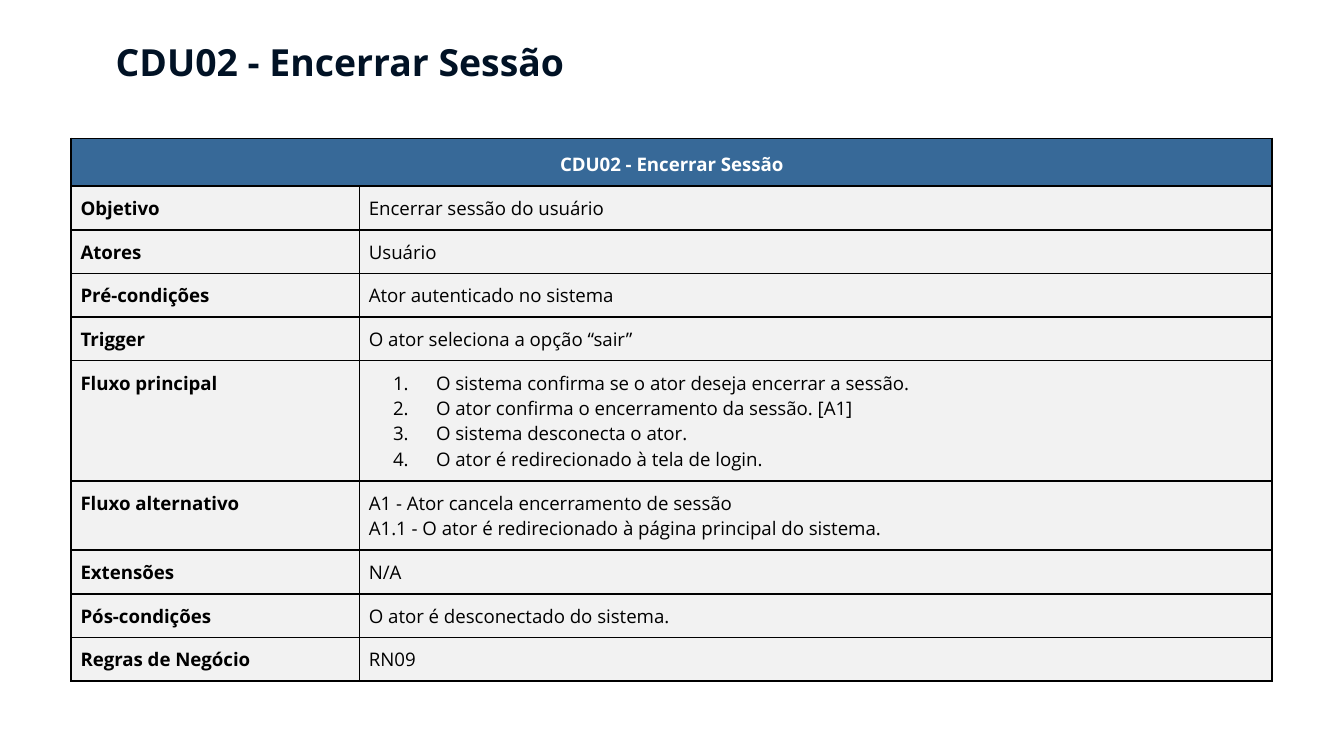
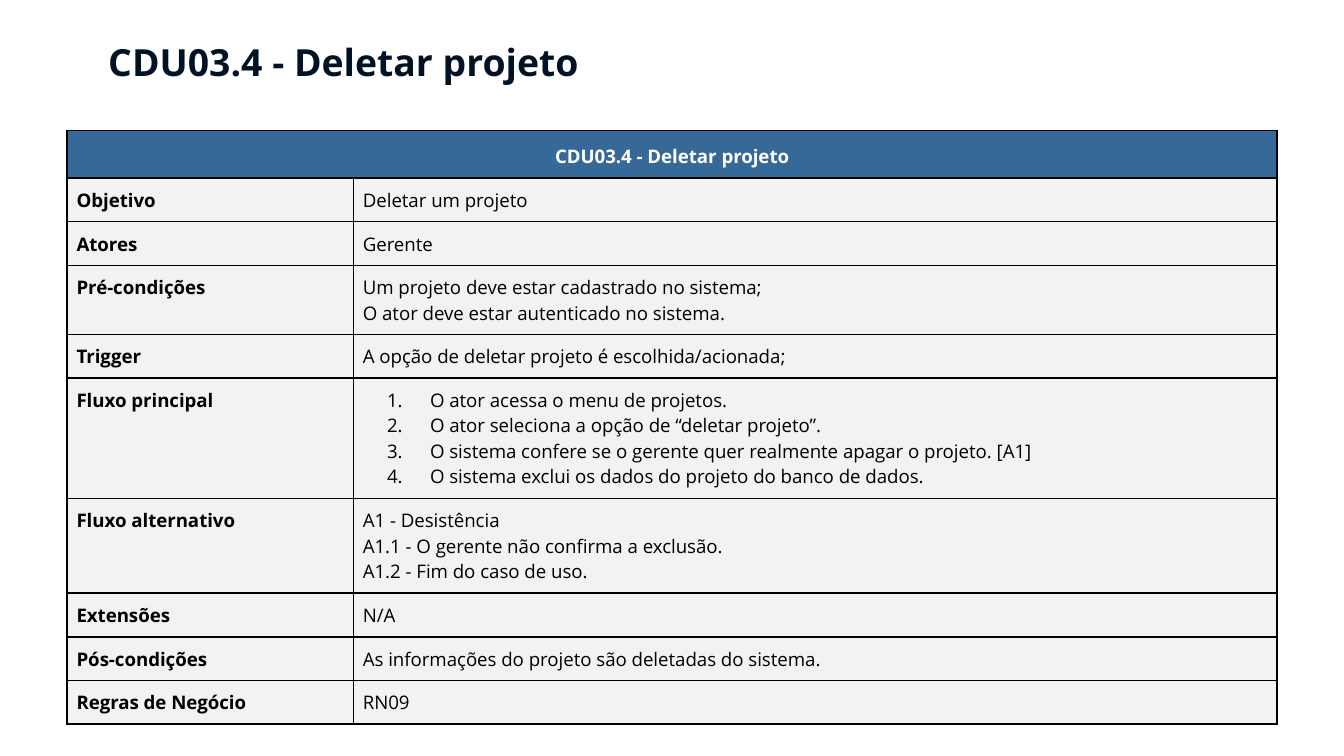
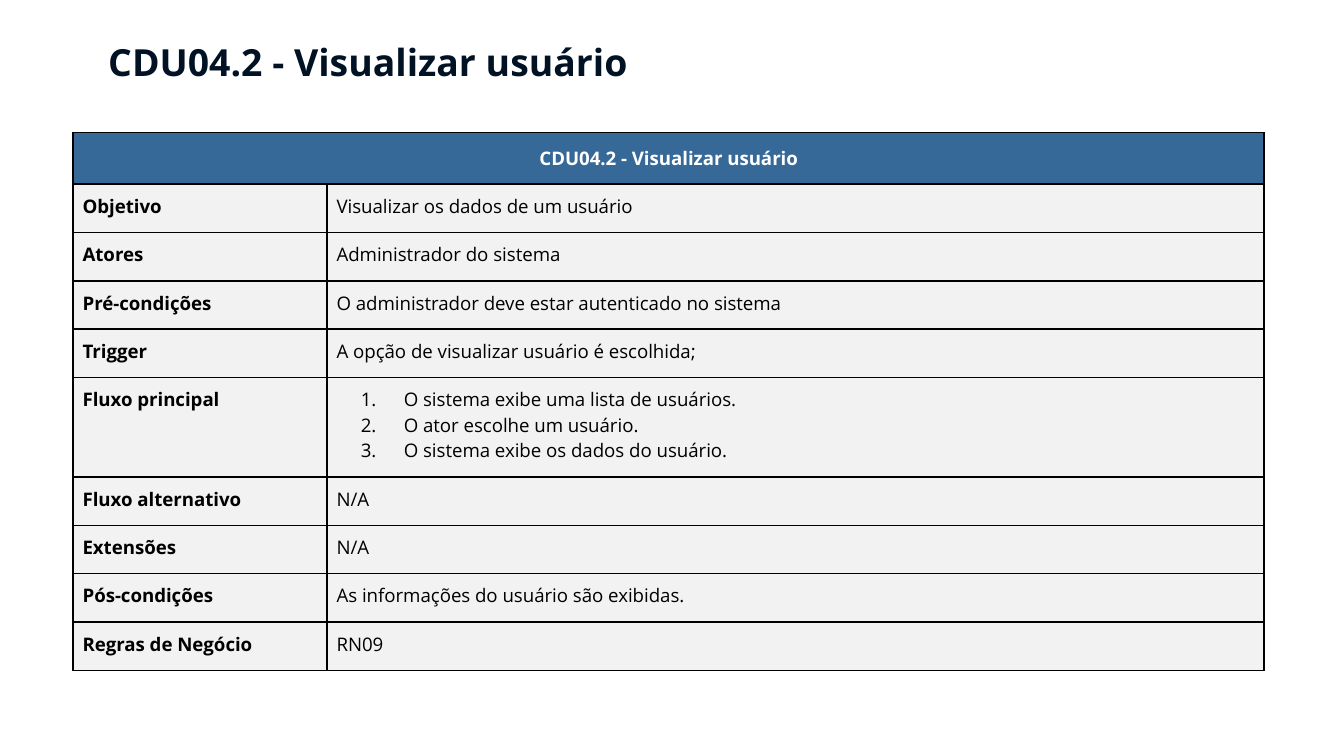
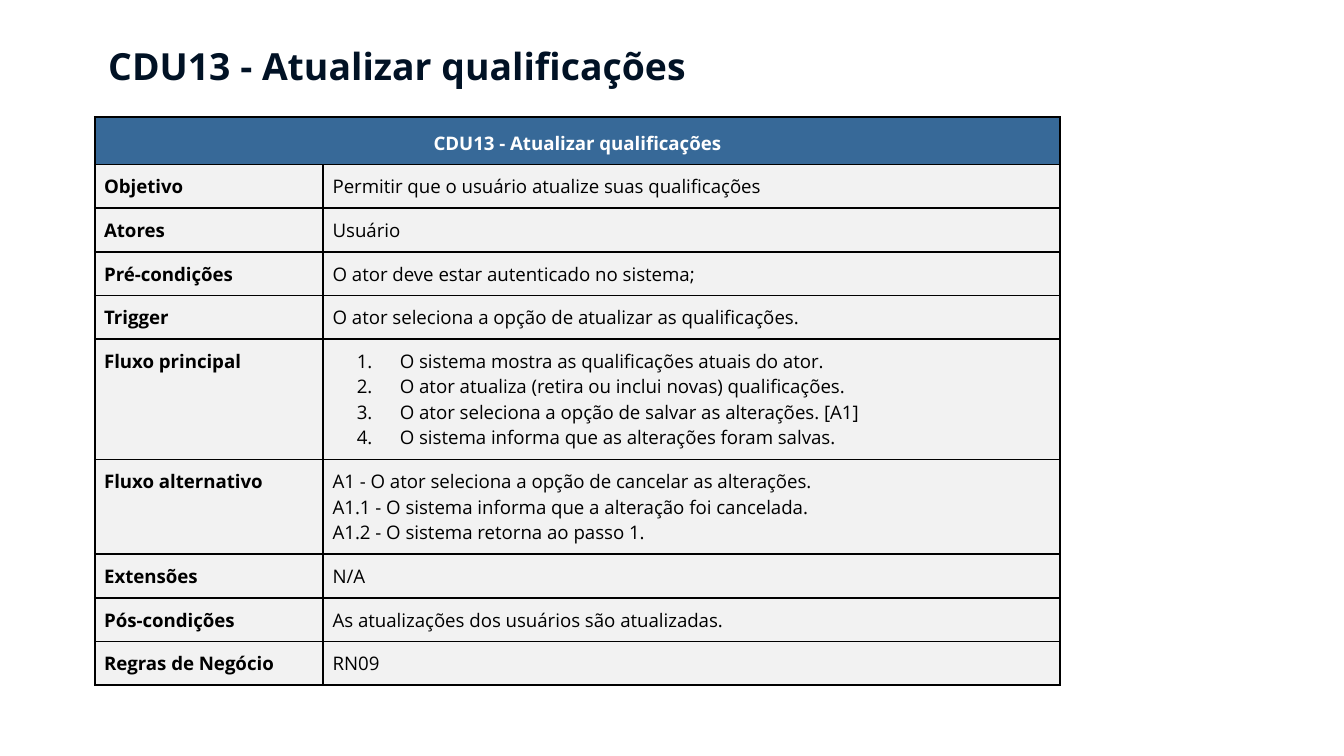
from lxml.etree import SubElement
from pptx import Presentation
from pptx.dml.color import RGBColor
from pptx.enum.text import MSO_ANCHOR, MSO_AUTO_SIZE, PP_ALIGN
from pptx.oxml.ns import qn
from pptx.util import Pt

PX = 4572  # EMU in one px, at 200 px to the inch
SLIDE_SIZE = (2000, 1125)
TITLE_SIZE = (1718, 108)
TITLE_MARGIN = 20
CELL_MARGIN = 14
LINE_HEIGHT = 38
NUMBER_INDENT = 100
NUMBER_HANGING = 64
FONT = "Open Sans"
COLORS = {
    "title": "011225",
    "header": "376998",
    "header_text": "FFFFFF",
    "cell": "F2F2F2",
    "text": "000000",
    "border": "000000",
}
LABELS = [
    "Objetivo", "Atores", "Pré-condições", "Trigger", "Fluxo principal",
    "Fluxo alternativo", "Extensões", "Pós-condições", "Regras de Negócio",
]
NUMBERED_LABEL = "Fluxo principal"

USE_CASES = [
    {
        "title": "CDU02 - Encerrar Sessão",
        "title_at": (152, 38),
        "table_at": (106, 206),
        "columns": (429, 1358),
        "header_height": 71,
        "row_height": 65,
        "values": [
            ["Encerrar sessão do usuário"],
            ["Usuário"],
            ["Ator autenticado no sistema"],
            ["O ator seleciona a opção “sair”"],
            ["O sistema confirma se o ator deseja encerrar a sessão.",
             "O ator confirma o encerramento da sessão. [A1]",
             "O sistema desconecta o ator.",
             "O ator é redirecionado à tela de login."],
            ["A1 - Ator cancela encerramento de sessão",
             "A1.1 - O ator é redirecionado à página principal do sistema."],
            ["N/A"],
            ["O ator é desconectado do sistema."],
            ["RN09"],
        ],
    },
    {
        "title": "CDU03.4 - Deletar projeto",
        "title_at": (141, 38),
        "table_at": (100, 194),
        "columns": (426, 1374),
        "header_height": 71,
        "row_height": 65,
        "values": [
            ["Deletar um projeto"],
            ["Gerente"],
            ["Um projeto deve estar cadastrado no sistema;",
             "O ator deve estar autenticado no sistema."],
            ["A opção de deletar projeto é escolhida/acionada;"],
            ["O ator acessa o menu de projetos.",
             "O ator seleciona a opção de “deletar projeto”.",
             "O sistema confere se o gerente quer realmente apagar o projeto. [A1]",
             "O sistema exclui os dados do projeto do banco de dados."],
            ["A1 - Desistência",
             "A1.1 - O gerente não confirma a exclusão.",
             "A1.2 - Fim do caso de uso."],
            ["N/A"],
            ["As informações do projeto são deletadas do sistema."],
            ["RN09"],
        ],
    },
    {
        "title": "CDU04.2 - Visualizar usuário",
        "title_at": (141, 38),
        "table_at": (109, 197),
        "columns": (378, 1394),
        "header_height": 77,
        "row_height": 72,
        "values": [
            ["Visualizar os dados de um usuário"],
            ["Administrador do sistema"],
            ["O administrador deve estar autenticado no sistema"],
            ["A opção de visualizar usuário é escolhida;"],
            ["O sistema exibe uma lista de usuários.",
             "O ator escolhe um usuário.",
             "O sistema exibe os dados do usuário."],
            ["N/A"],
            ["N/A"],
            ["As informações do usuário são exibidas."],
            ["RN09"],
        ],
    },
    {
        "title": "CDU13 - Atualizar qualificações",
        "title_at": (141, 44),
        "table_at": (141, 174),
        "columns": (340, 1096),
        "header_height": 71,
        "row_height": 65,
        "values": [
            ["Permitir que o usuário atualize suas qualificações"],
            ["Usuário"],
            ["O ator deve estar autenticado no sistema;"],
            ["O ator seleciona a opção de atualizar as qualificações."],
            ["O sistema mostra as qualificações atuais do ator.",
             "O ator atualiza (retira ou inclui novas) qualificações.",
             "O ator seleciona a opção de salvar as alterações. [A1]",
             "O sistema informa que as alterações foram salvas."],
            ["A1 - O ator seleciona a opção de cancelar as alterações.",
             "A1.1 - O sistema informa que a alteração foi cancelada.",
             "A1.2 - O sistema retorna ao passo 1."],
            ["N/A"],
            ["As atualizações dos usuários são atualizadas."],
            ["RN09"],
        ],
    },
]


def color(name):
    return RGBColor.from_string(COLORS[name])


def format_runs(paragraph, size, color_name, bold):
    for run in paragraph.runs:
        run.font.name = FONT
        run.font.size = Pt(size)
        run.font.bold = bold
        run.font.color.rgb = color(color_name)


def add_number(paragraph):
    properties = paragraph._p.get_or_add_pPr()
    properties.set("marL", str(NUMBER_INDENT * PX))
    properties.set("indent", str(-NUMBER_HANGING * PX))
    bullet_color = SubElement(properties, qn("a:buClr"))
    SubElement(bullet_color, qn("a:srgbClr"), val=COLORS["text"])
    SubElement(properties, qn("a:buFont"), typeface=FONT)
    SubElement(properties, qn("a:buAutoNum"), type="arabicPeriod")


def add_borders(cell):
    properties = cell._tc.get_or_add_tcPr()
    for side in ("lnL", "lnR", "lnT", "lnB"):
        line = SubElement(properties, qn(f"a:{side}"), w=str(Pt(1)))
        fill = SubElement(line, qn("a:solidFill"))
        SubElement(fill, qn("a:srgbClr"), val=COLORS["border"])


def style_cell(cell, fill_name):
    add_borders(cell)
    cell.fill.solid()
    cell.fill.fore_color.rgb = color(fill_name)
    cell.margin_left = cell.margin_right = CELL_MARGIN * PX
    cell.margin_top = cell.margin_bottom = CELL_MARGIN * PX
    cell.vertical_anchor = MSO_ANCHOR.TOP


def fill_cell(cell, lines, bold=False, numbered=False):
    style_cell(cell, "cell")
    cell.text_frame.text = "\n".join(lines)
    for paragraph in cell.text_frame.paragraphs:
        if numbered:
            add_number(paragraph)
        format_runs(paragraph, 10, "text", bold)


def fill_header(table, text):
    first, last = table.cell(0, 0), table.cell(0, 1)
    first.merge(last)
    for cell in (first, last):
        style_cell(cell, "header")
    first.text_frame.text = text
    paragraph = first.text_frame.paragraphs[0]
    paragraph.alignment = PP_ALIGN.CENTER
    paragraph.line_spacing = 1.15
    format_runs(paragraph, 10, "header_text", True)


def place_title(slide, text, left, top):
    title = slide.shapes.title
    title.left, title.top = left * PX, top * PX
    title.width, title.height = (length * PX for length in TITLE_SIZE)
    frame = title.text_frame
    frame.text = text
    frame.word_wrap = True
    frame.auto_size = MSO_AUTO_SIZE.SHAPE_TO_FIT_TEXT
    frame.vertical_anchor = MSO_ANCHOR.TOP
    frame.margin_left = frame.margin_right = TITLE_MARGIN * PX
    frame.margin_top = frame.margin_bottom = TITLE_MARGIN * PX
    paragraph = frame.paragraphs[0]
    paragraph.alignment = PP_ALIGN.LEFT
    format_runs(paragraph, 20, "title", True)


def add_use_case_table(slide, use_case, left, top):
    values = use_case["values"]
    columns = use_case["columns"]
    heights = [use_case["header_height"]] + [
        use_case["row_height"] + LINE_HEIGHT * (len(lines) - 1) for lines in values
    ]
    table = slide.shapes.add_table(
        len(heights), len(columns),
        left * PX, top * PX, sum(columns) * PX, sum(heights) * PX,
    ).table
    table.horz_banding = False
    for column, width in zip(table.columns, columns):
        column.width = width * PX
    for row, height in zip(table.rows, heights):
        row.height = height * PX

    fill_header(table, use_case["title"])
    for index, (label, lines) in enumerate(zip(LABELS, values), start=1):
        fill_cell(table.cell(index, 0), [label], bold=True)
        fill_cell(table.cell(index, 1), lines, numbered=label == NUMBERED_LABEL)


def add_use_case_slide(presentation, use_case):
    title_only = presentation.slide_layouts[5]
    slide = presentation.slides.add_slide(title_only)
    place_title(slide, use_case["title"], *use_case["title_at"])
    add_use_case_table(slide, use_case, *use_case["table_at"])


def main():
    presentation = Presentation()
    presentation.slide_width, presentation.slide_height = (
        length * PX for length in SLIDE_SIZE
    )
    for use_case in USE_CASES:
        add_use_case_slide(presentation, use_case)
    presentation.save("out.pptx")


if __name__ == "__main__":
    main()
